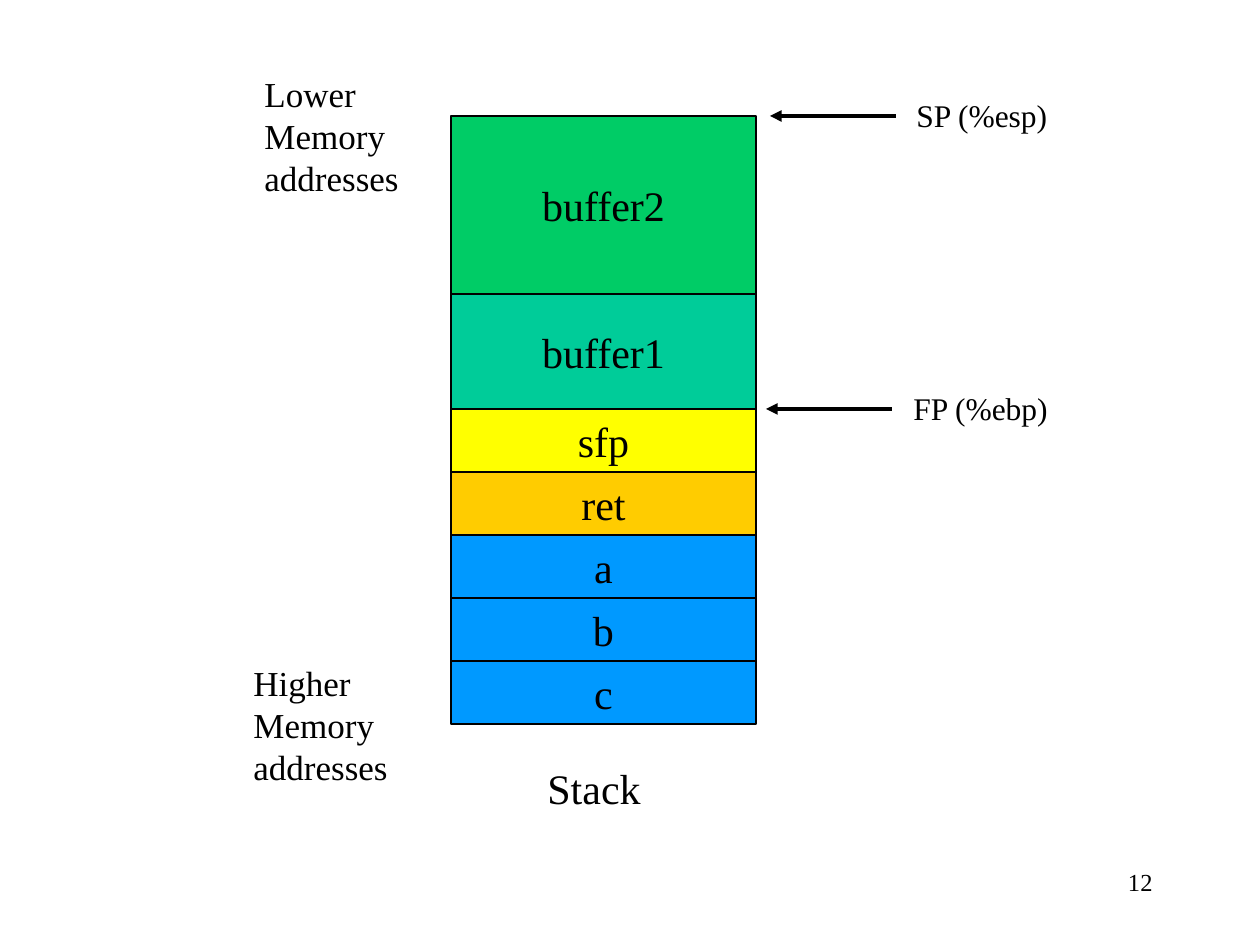
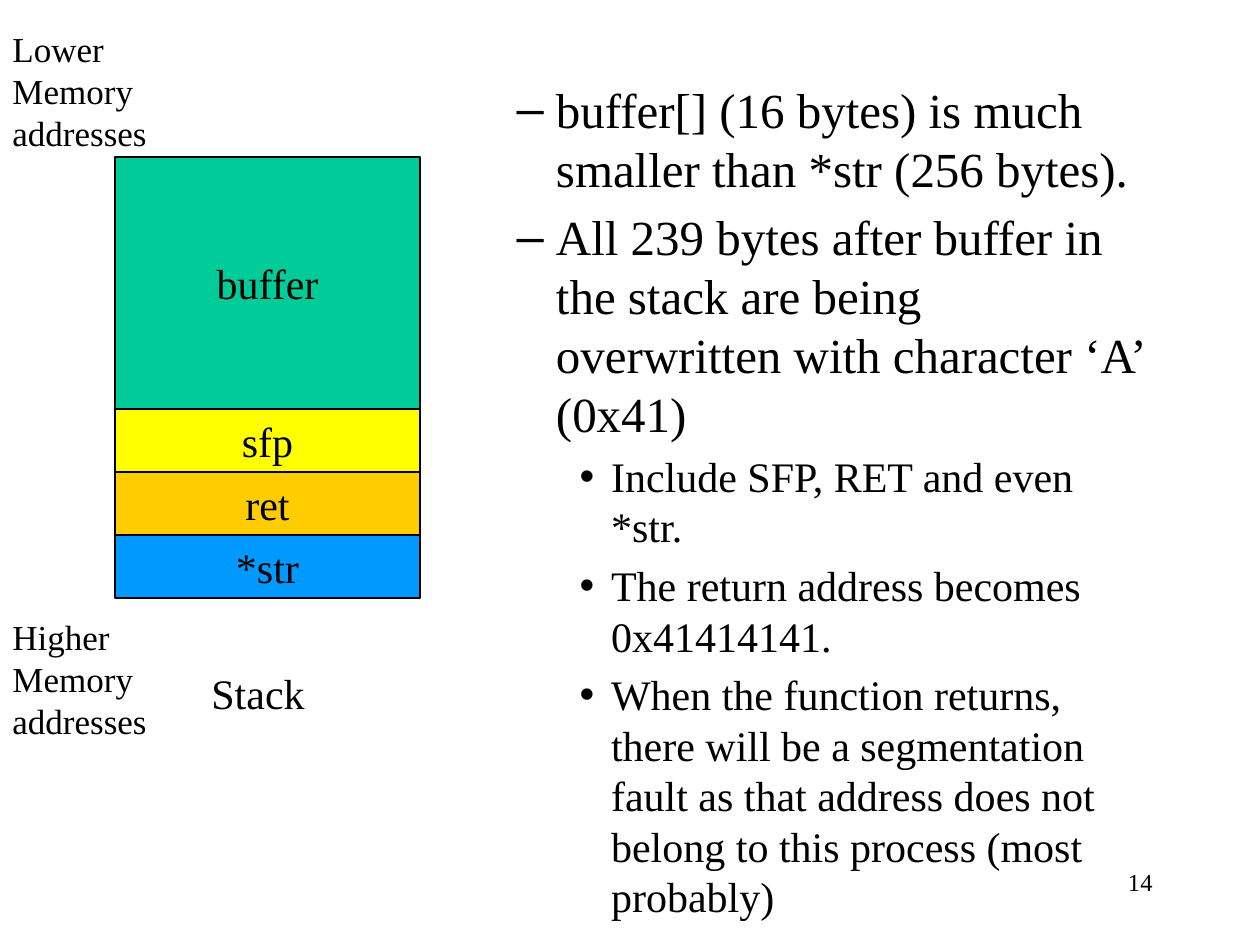
import pptx
import pptx.util
import pptx.dml.color
import pptx.enum.shapes
import pptx.enum.text
import pptx.oxml
import pptx.oxml.ns

RGB = pptx.dml.color.RGBColor
ALIGN = pptx.enum.text.PP_ALIGN
FIT = pptx.enum.text.MSO_AUTO_SIZE
BLACK = RGB(0x00, 0x00, 0x00)
BLUE = RGB(0x00, 0x99, 0xFF)
GOLD = RGB(0xFF, 0xCC, 0x00)
YELLOW = RGB(0xFF, 0xFF, 0x00)
TEAL = RGB(0x00, 0xCC, 0x99)
GREEN = RGB(0x00, 0xCC, 0x66)
FONT = "Times New Roman"
PX = 914400 / 126
CELL_W, CELL_H = 305, 63


def write(frame, items, align=ALIGN.LEFT):
    """Fill a frame with paragraphs given as (text, size, level)."""
    for i, (text, size, level) in enumerate(items):
        par = frame.paragraphs[0] if i == 0 else frame.add_paragraph()
        par.alignment = align
        par.level = level
        run = par.add_run()
        run.text = text
        run.font.name = FONT
        run.font.size = pptx.util.Pt(size)
        run.font.color.rgb = BLACK


def label(slide, box, text, size, align=ALIGN.LEFT, wrap=False):
    """Add a text box with one paragraph per line of text."""
    frame = slide.shapes.add_textbox(*[round(v * PX) for v in box]).text_frame
    frame.word_wrap = wrap
    frame.auto_size = FIT.NONE if wrap else FIT.SHAPE_TO_FIT_TEXT
    write(frame, [(line, size, 0) for line in text.split("\n")], align)


deck = pptx.Presentation()
deck.slide_width = pptx.util.Inches(10)
deck.slide_height = pptx.util.Inches(7.5)
frames = deck.slides.add_slide(deck.slide_layouts[6])
smash = deck.slides.add_slide(deck.slide_layouts[1])

# Stack diagrams: slide, number, left, top, cells, then the spots of the labels
stacks = [
    (frames, "12", 451, 116,
     [("buffer2", 178, GREEN), ("buffer1", 115, TEAL), ("sfp", CELL_H, YELLOW),
      ("ret", CELL_H, GOLD), ("a", CELL_H, BLUE), ("b", CELL_H, BLUE),
      ("c", CELL_H, BLUE)],
     (252, 66), (241, 655), (535, 756)),
    (smash, "14", 115, 157,
     [("buffer", 252, TEAL), ("sfp", CELL_H, YELLOW), ("ret", CELL_H, GOLD),
      ("*str", CELL_H, BLUE)],
     (0, 21), (0, 609), (199, 661)),
]
for slide, number, left, top, cells, low, high, foot in stacks:
    for name, height, color in cells:
        cell = slide.shapes.add_shape(
            pptx.enum.shapes.MSO_SHAPE.RECTANGLE,
            *[round(v * PX) for v in (left, top, CELL_W, height)])
        cell.shadow.inherit = False
        cell.fill.solid()
        cell.fill.fore_color.rgb = color
        cell.line.color.rgb = BLACK
        cell.line.width = pptx.util.Pt(0.75)
        cell.text_frame.word_wrap = False
        cell.text_frame.vertical_anchor = pptx.enum.text.MSO_ANCHOR.MIDDLE
        write(cell.text_frame, [(name, 24, 0)], ALIGN.CENTER)
        top += height
    label(slide, (*foot, 120, 63), "Stack", 24)
    label(slide, (*low, 160, 139), "Lower\nMemory\naddresses", 20)
    label(slide, (*high, 160, 139), "Higher\nMemory\naddresses", 20)
    label(slide, (903, 861, 262, 63), number, 14, ALIGN.RIGHT, True)

# Register pointers
for text, left, y, start, width in [("SP (%esp)", 770, 116, 904, 158),
                                    ("FP (%ebp)", 766, 409, 901, 161)]:
    arrow = frames.shapes.add_connector(
        pptx.enum.shapes.MSO_CONNECTOR.STRAIGHT,
        *[round(v * PX) for v in (left, y, left + 126, y)])
    arrow.line.color.rgb = BLACK
    arrow.line.width = pptx.util.Pt(2.25)
    head = pptx.oxml.parse_xml(
        "<a:headEnd %s type='triangle'/>" % pptx.oxml.ns.nsdecls("a"))
    arrow.line._get_or_add_ln().append(head)
    plain = pptx.oxml.parse_xml(
        "<a:effectLst %s/>" % pptx.oxml.ns.nsdecls("a"))
    arrow._element.spPr.append(plain)
    label(frames, (start, y - 26, width, 50), text, 18)

# Overflow notes in the body placeholder, with the template's bullets
title = smash.shapes.title._element
title.getparent().remove(title)
body = smash.placeholders[1]
body.left, body.top, body.width, body.height = [
    round(v * PX) for v in (441, 73, 725, 767)]
body.text_frame.auto_size = FIT.NONE
write(body.text_frame, [
    ("buffer[] (16 bytes) is much smaller than *str (256 bytes).", 28, 1),
    ("All 239 bytes after buffer in the stack are being overwritten with "
     "character \u2018A\u2019 (0x41)", 28, 1),
    ("Include SFP, RET and even *str.", 24, 2),
    ("The return address becomes 0x41414141.", 24, 2),
    ("When the function returns, there will be a segmentation fault as that "
     "address does not belong to this process (most probably)", 24, 2),
])

deck.save("out.pptx")
